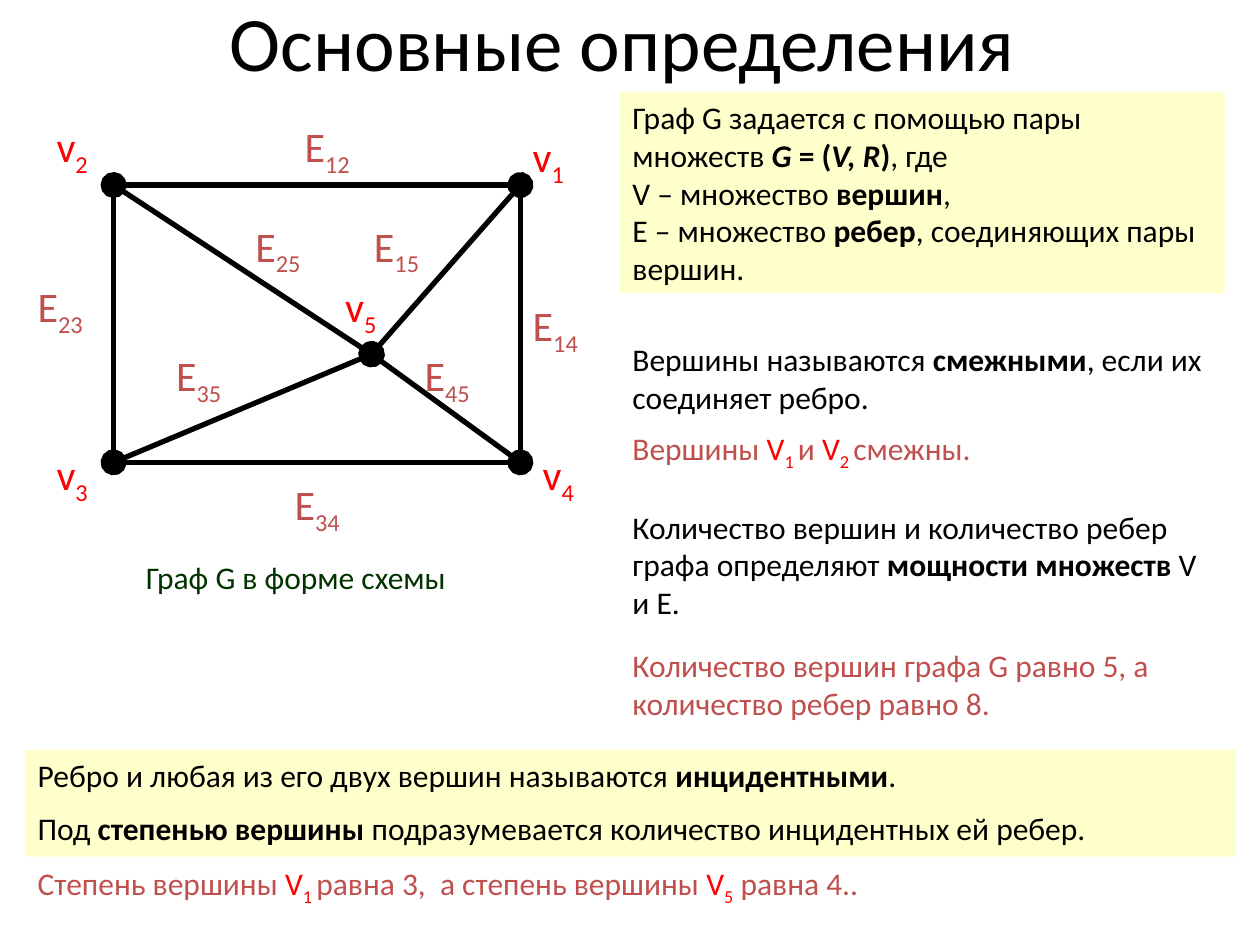
from lxml import etree
from pptx import Presentation
from pptx import util as u
from pptx.dml.color import RGBColor
from pptx.enum import shapes, text
from pptx.oxml.ns import qn

COLORS = {"ink": "000000", "vertex": "FF0000", "edge": "C0504D",
          "caption": "003300", "note": "FFFFCC", "plain": "FFFFFF"}


class Deck:
    font = "Calibri"

    def __init__(self, width, height):
        self.prs = Presentation()
        self.prs.slide_width, self.prs.slide_height = u.Cm(width), u.Cm(height)
        self.s = None

    def color(self, name):
        return RGBColor.from_string(COLORS[name])

    def title_slide(self, wording, at):
        self.s = self.prs.slides.add_slide(self.prs.slide_layouts[5])
        sp = self.s.shapes.title
        sp.left, sp.top, sp.width, sp.height = map(u.Cm, at)
        tf = sp.text_frame
        tf.vertical_anchor = text.MSO_ANCHOR.MIDDLE
        self.paragraph(tf.paragraphs[0], [(wording, "")], 44, "ink")
        tf.paragraphs[0].alignment = text.PP_ALIGN.CENTER

    def paragraph(self, p, runs, size, color):
        for wording, style in runs:
            r = p.add_run()
            r.text = wording
            r.font.name, r.font.size = self.font, u.Pt(size)
            r.font.bold, r.font.italic = "b" in style, "i" in style
            r.font.color.rgb = self.color("vertex" if "v" in style else color)
            if "s" in style:
                r._r.get_or_add_rPr().set("baseline", "-25000")

    def box(self, at, paragraphs, color="ink", size=18, fill=None, gap=0):
        at = [u.Cm(v) for v in at]
        if fill:
            sp = self.s.shapes.add_shape(shapes.MSO_SHAPE.RECTANGLE, *at)
            sp.shadow.inherit = False
            sp.fill.solid()
            sp.fill.fore_color.rgb = self.color(fill)
            sp.line.fill.background()
        else:
            sp = self.s.shapes.add_textbox(*at)
        tf = sp.text_frame
        tf.word_wrap = True
        tf.auto_size = text.MSO_AUTO_SIZE.SHAPE_TO_FIT_TEXT
        tf.vertical_anchor = text.MSO_ANCHOR.TOP
        for i, runs in enumerate(paragraphs):
            p = tf.add_paragraph() if i else tf.paragraphs[0]
            p.alignment = text.PP_ALIGN.LEFT
            p.space_before = u.Pt(gap if i else 0)
            self.paragraph(p, runs, size, color)

    def label(self, letter, index, x, y, width, color):
        self.box((x, y, width, 1.27), [[(letter, ""), (index, "s")]], color, 24)

    def edge(self, start, end, dots):
        sp = self.s.shapes.add_connector(
            shapes.MSO_CONNECTOR.STRAIGHT, *map(u.Cm, start + end))
        sp.line.color.rgb = self.color("ink")
        sp.line.width = u.Pt(3)
        if dots:
            ln = sp.line._get_or_add_ln()
            for tag in ("a:headEnd", "a:tailEnd"):
                etree.SubElement(ln, qn(tag), type="oval", w="lg", len="lg")
        etree.SubElement(sp._element.spPr, qn("a:effectLst"))


VERTICES = {"1": (10.49, 3.73), "2": (2.29, 3.73), "3": (2.29, 9.32),
            "4": (10.49, 9.32), "5": (7.49, 7.14)}
VERTEX_LABELS = {"4": (10.69, 8.92), "1": (10.49, 2.51), "2": (0.89, 2.31),
                 "3": (0.89, 8.92), "5": (6.71, 5.54)}
EDGE_LABELS = {"12": (5.89, 2.31), "14": (10.49, 5.92), "15": (7.29, 4.32),
               "25": (4.9, 4.32), "23": (0.51, 5.54), "35": (3.3, 6.93),
               "45": (8.31, 6.93), "34": (5.69, 9.53)}
RIGHT, RIGHT_WIDTH = 12.5, 12.19


def main():
    d = Deck(25.4, 19.05)
    d.title_slide("Основные определения ", (1.3, 0.13, 22.86, 1.4))

    for a, b in EDGE_LABELS:
        d.edge(VERTICES[a], VERTICES[b], dots=b == "5" or a + b == "45")
    for index, (x, y) in VERTEX_LABELS.items():
        d.label("v", index, x, y, 1.6, "vertex")
    for index, (x, y) in EDGE_LABELS.items():
        d.label("E", index, x, y, 2, "edge")
    d.box((2.69, 11.13, 8.41, 1.02), [[("Граф G в форме схемы", "")]], "caption")

    d.box((RIGHT, 1.85, RIGHT_WIDTH, 4.06), [
        [("Граф G задается с помощью пары множеств ", ""), ("G", "bi"),
         (" = (", "b"), ("V, R", "bi"), (")", "b"), (", где", "")],
        [("V – множество ", ""), ("вершин", "b"), (",", "")],
        [("E – множество ", ""), ("ребер", "b"),
         (", соединяющих пары вершин.", "")],
    ], fill="note")
    d.box((RIGHT, 6.73, RIGHT_WIDTH, 1.78), [
        [("Вершины называются ", ""), ("смежными", "b"),
         (", если их соединяет ребро.", "")],
    ], fill="plain")
    d.box((RIGHT, 8.53, 12, 1.02), [
        [("Вершины ", ""), ("V", "v"), ("1 ", "vs"), ("и ", ""),
         ("V", "v"), ("2 ", "vs"), ("смежны.", "")],
    ], "edge")
    d.box((RIGHT, 10.11, RIGHT_WIDTH, 2.54), [
        [("Количество вершин и количество ребер графа определяют ", ""),
         ("мощности множеств ", "b"), ("V и E.", "")],
    ], fill="plain")
    d.box((RIGHT, 12.9, 12, 1.78), [
        [("Количество вершин графа G равно 5, а количество ребер равно 8.", "")],
    ], "edge")

    d.box((0.51, 15.11, 24.4, 2.16), [
        [("Ребро и любая из его двух вершин называются ", ""),
         ("инцидентными", "b"), (".", "")],
        [("Под ", ""), ("степенью вершины", "b"),
         (" подразумевается количество инцидентных ей ребер.", "")],
    ], fill="note", gap=9)
    d.box((0.51, 17.3, 24, 1.02), [
        [("Степень вершины ", ""), ("V", "v"), ("1 ", "vs"),
         ("равна 3,  а степень вершины ", ""), ("V", "v"), ("5", "vs"),
         (" равна 4..", "")],
    ], "edge")
    d.prs.save("out.pptx")


if __name__ == "__main__":
    main()
